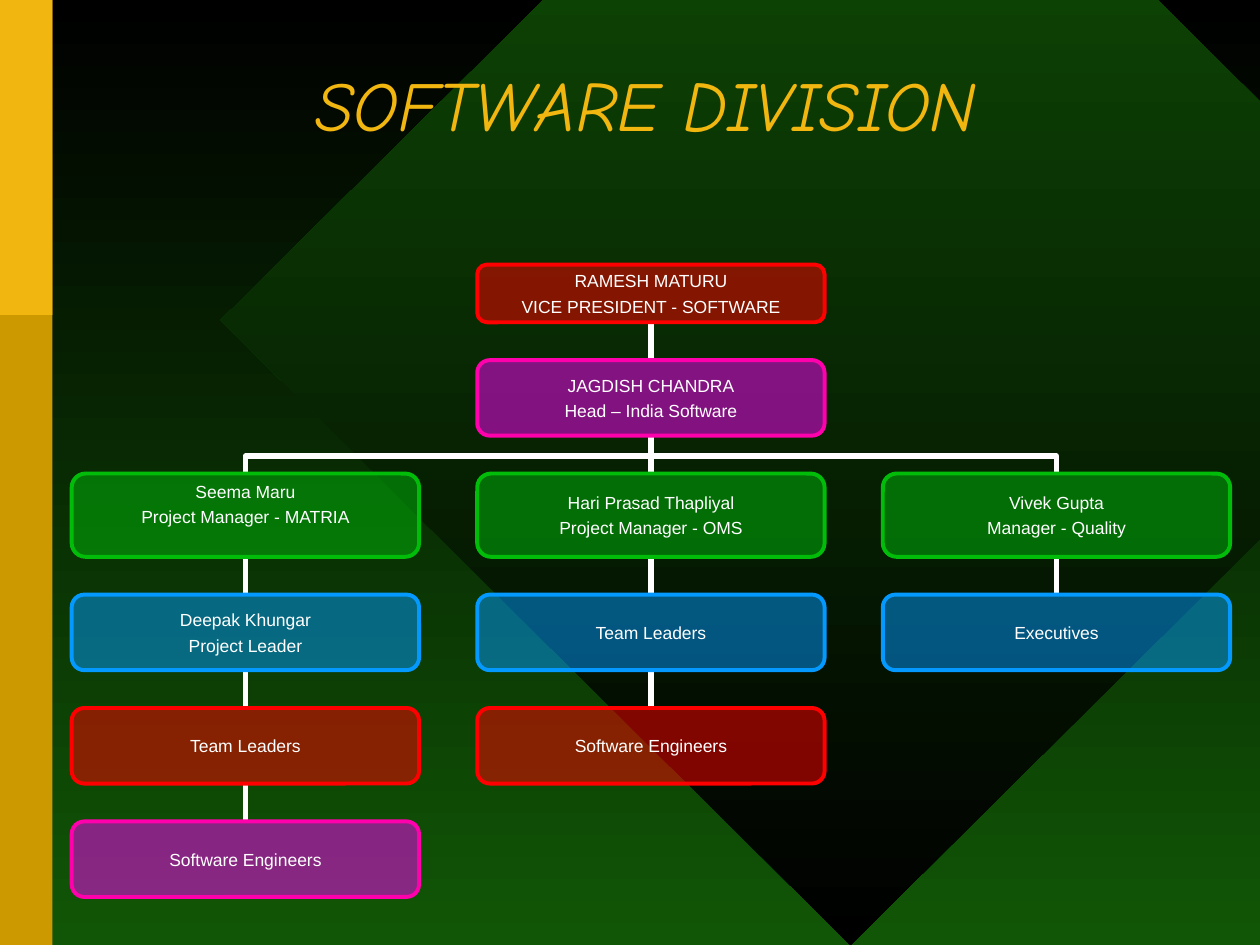
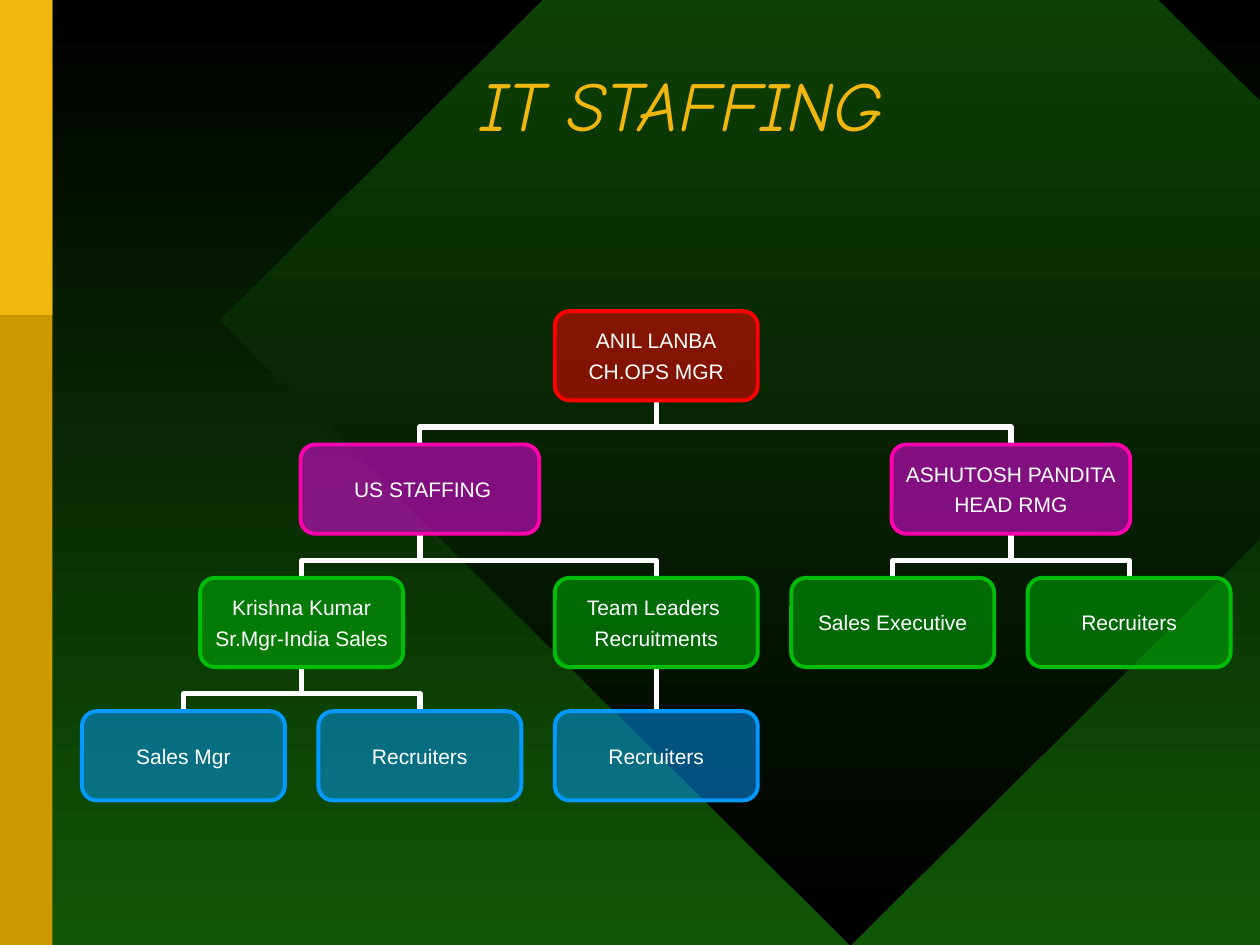
from pptx import Presentation
from pptx.dml.color import RGBColor
from pptx.enum.shapes import MSO_CONNECTOR as Connector, MSO_SHAPE as Preset
from pptx.enum.text import MSO_ANCHOR as Anchor, PP_ALIGN as Align
from pptx.oxml.ns import qn
from pptx.util import Pt
from lxml.etree import SubElement

COLOURS = {
    "black": "000000", "green": "115606", "ochre": "CC9900", "gold": "F1B60F", "white": "FFFFFF",
    "red": "FF0000", "magenta": "FF00FF", "pink": "FF00AD", "leaf": "01BD0A", "blue": "0399FF",
}
LEVELS = [("red", "red"), ("magenta", "pink"), ("leaf", "leaf"),
          ("blue", "blue"), ("red", "red"), ("magenta", "pink")]
TITLE_FORMAT = {"name": "Comic Neue", "size": Pt(40), "italic": True}
LEFT_TURN = {"rot": "5400000", "flipH": "1", "flipV": "1"}
RIGHT_TURN = {"rot": "16200000", "flipV": "1"}
BUS_RISE = 10

CHARTS = [
    {
        "title": "SOFTWARE DIVISION", "title_left": 72, "title_width": 594,
        "first_centre": 140.2, "pitch": 231.75, "top": 151.2, "gap": 21.6, "size": 10,
        "heights": [33, 43.2, 47.6, 43.2, 43.2, 43.2], "widths": [198.5] * 6,
        "raised": {"Seema Maru": 13},
        "tree": (1, ["RAMESH MATURU", "VICE PRESIDENT - SOFTWARE"], [
            (1, ["JAGDISH CHANDRA", "Head – India Software"], [
                (0, ["Seema Maru", "Project Manager - MATRIA"], [
                    (0, ["Deepak Khungar", "Project Leader"], [
                        (0, ["Team Leaders"], [
                            (0, ["Software Engineers"], [])])])]),
                (1, ["Hari Prasad Thapliyal", "Project Manager - OMS"], [
                    (1, ["Team Leaders"], [
                        (1, ["Software Engineers"], [])])]),
                (2, ["Vivek Gupta", "Manager - Quality"], [
                    (2, ["Executives"], [])]),
            ])]),
    },
    {
        "title": "IT STAFFING", "title_left": 174, "title_width": 432,
        "first_centre": 104.85, "pitch": 135.1, "top": 177.8, "gap": 25.2, "size": 12,
        "heights": [51] * 4, "widths": [116, 136.4, 116, 116],
        "raised": {},
        "tree": (2, ["ANIL LANBA", "CH.OPS MGR"], [
            (1, [" US STAFFING"], [
                (0.5, ["Krishna Kumar", "Sr.Mgr-India Sales"], [
                    (0, ["Sales Mgr"], []),
                    (1, ["Recruiters"], [])]),
                (2, ["Team Leaders ", "Recruitments"], [
                    (2, ["Recruiters"], [])])]),
            (3.5, ["ASHUTOSH PANDITA", "HEAD RMG"], [
                (3, ["Sales Executive"], []),
                (4, ["Recruiters"], [])]),
        ]),
    },
]


def colour(name):
    return RGBColor.from_string(COLOURS[name])


def apply(target, values):
    for name, value in values.items():
        setattr(target, name, value)


def fill_gradient(fill, names):
    fill.gradient()
    fill.gradient_angle = 270
    for stop, name in zip(fill.gradient_stops, names):
        stop.color.rgb = colour(name)


def add_plain_shape(page, preset, left, top, width, height):
    shape = page.shapes.add_shape(preset, Pt(left), Pt(top), Pt(width), Pt(height))
    shape.shadow.inherit = False
    return shape


def add_backdrop(page):
    fill_gradient(page.background.fill, ["black", "green"])
    diamond = add_plain_shape(page, Preset.DIAMOND, 126, -174, 720, 714)
    fill_gradient(diamond.fill, ["green", "black"])
    diamond.line.fill.background()
    for name, height in [("ochre", 540), ("gold", 180)]:
        band = add_plain_shape(page, Preset.RECTANGLE, 0, 0, 30, height)
        band.fill.solid()
        band.fill.fore_color.rgb = colour(name)
        band.line.fill.background()


def add_title(page, chart):
    box = page.shapes.add_textbox(Pt(chart["title_left"]), Pt(36), Pt(chart["title_width"]), Pt(54))
    apply(box.text_frame, {"word_wrap": True, "vertical_anchor": Anchor.MIDDLE})
    para = box.text_frame.paragraphs[0]
    apply(para, {"alignment": Align.CENTER, "line_spacing": 0.85})
    span = para.add_run()
    span.text = chart["title"]
    apply(span.font, TITLE_FORMAT)
    span.font.color.rgb = colour("gold")


def add_role(page, chart, slot, level, lines):
    centre = chart["first_centre"] + slot * chart["pitch"]
    width, height = chart["widths"][level], chart["heights"][level]
    top = chart["top"] + sum(chart["heights"][:level]) + level * chart["gap"]
    box = add_plain_shape(page, Preset.ROUNDED_RECTANGLE, centre - width / 2, top, width, height)
    fill_name, line_name = LEVELS[level]
    box.fill.solid()
    box.fill.fore_color.rgb = colour(fill_name)
    tint = box._element.spPr.find(qn("a:solidFill")).find(qn("a:srgbClr"))
    SubElement(tint, qn("a:alpha")).set("val", "50000")
    box.line.color.rgb = colour(line_name)
    box.line.width = Pt(2.25)
    frame = box.text_frame
    apply(frame, {"word_wrap": False, "vertical_anchor": Anchor.MIDDLE, "margin_left": 0,
                  "margin_right": 0, "margin_top": 0,
                  "margin_bottom": Pt(chart["raised"].get(lines[0], 0))})
    for index, line in enumerate(lines):
        para = frame.add_paragraph() if index else frame.paragraphs[0]
        para.alignment = Align.CENTER
        if index:
            para.space_before = Pt(0.25 * chart["size"])
        span = para.add_run()
        span.text = line
        apply(span.font, {"name": "Arial", "size": Pt(chart["size"])})
        span.font.color.rgb = colour("white")
    return box


def middle(box):
    return box.left + box.width // 2


def bend(line, start, end):
    (start_x, start_y), (end_x, end_y) = start, end
    run, rise = abs(end_x - start_x), start_y - end_y
    apply(line, {"left": (start_x + end_x - rise) // 2, "top": (start_y + end_y - run) // 2,
                 "width": rise, "height": run})
    properties = line._element.spPr
    frame = properties.find(qn("a:xfrm"))
    for name in ("flipH", "flipV"):
        frame.attrib.pop(name, None)
    for name, value in (LEFT_TURN if start_x < end_x else RIGHT_TURN).items():
        frame.set(name, value)
    guide = SubElement(properties.find(qn("a:prstGeom")).find(qn("a:avLst")), qn("a:gd"))
    guide.set("name", "adj1")
    guide.set("fmla", f"val {round(100000 * Pt(BUS_RISE) / rise)}")


def join(page, root, parent, child):
    start, end = (middle(child), child.top), (middle(parent), parent.top + parent.height)
    straight = abs(start[0] - end[0]) < Pt(1)
    kind = Connector.STRAIGHT if straight else Connector.ELBOW
    line = page.shapes.add_connector(kind, *start, *end)
    if straight:
        line.begin_connect(child, 0)
        line.end_connect(parent, 2)
    else:
        bend(line, start, end)
    line.line.color.rgb = colour("white")
    line.line.width = Pt(3)
    SubElement(line._element.spPr, qn("a:effectLst"))
    root._element.addprevious(line._element)


def add_branch(page, chart, node, level=0, root=None):
    slot, lines, reports = node
    box = add_role(page, chart, slot, level, lines)
    root = root or box
    for report in reports:
        join(page, root, box, add_branch(page, chart, report, level + 1, root))
    return box


def main():
    deck = Presentation()
    deck.slide_width, deck.slide_height = Pt(720), Pt(540)
    for chart in CHARTS:
        page = deck.slides.add_slide(deck.slide_layouts[6])
        add_backdrop(page)
        add_title(page, chart)
        add_branch(page, chart, chart["tree"])
    deck.save("out.pptx")


if __name__ == "__main__":
    main()
